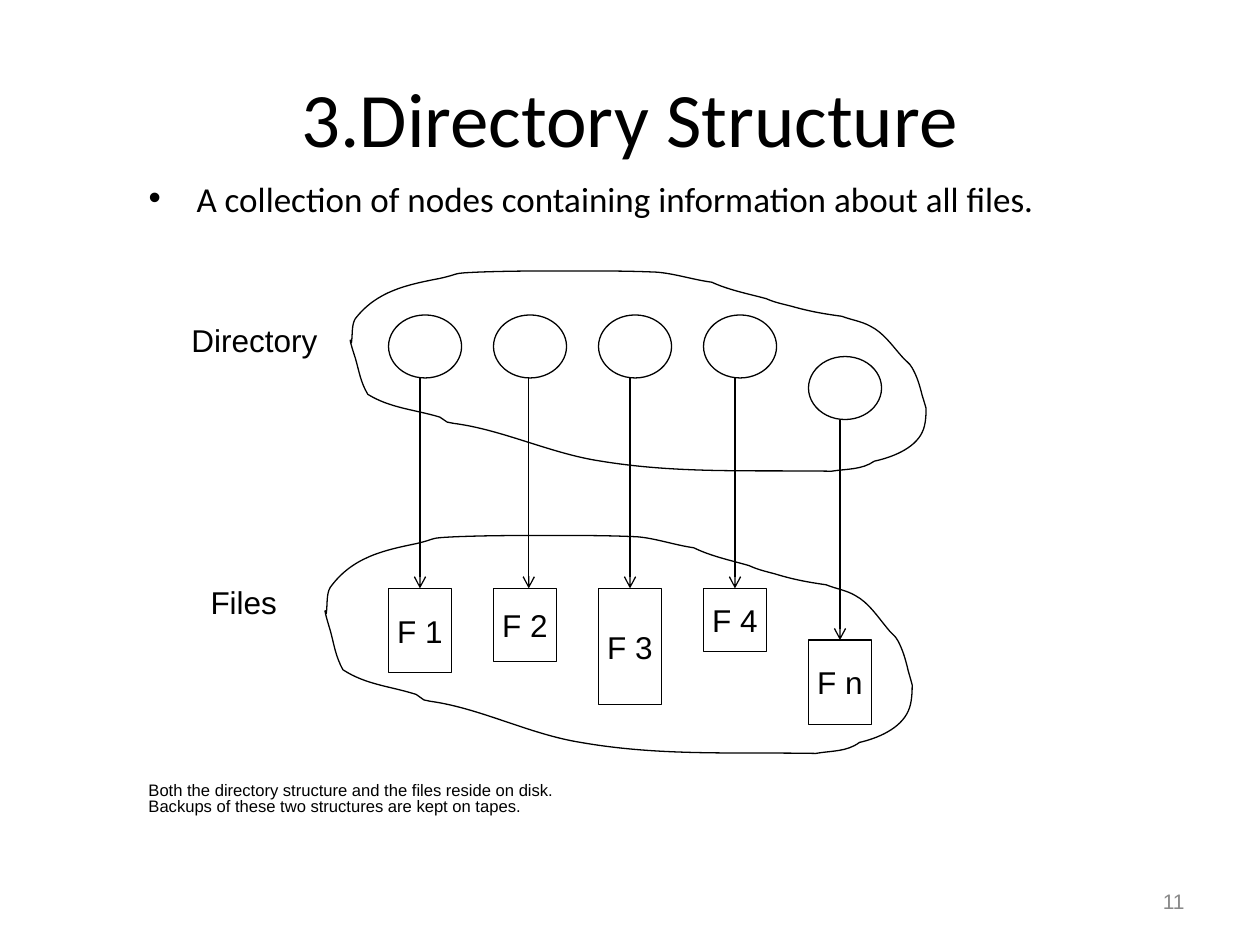
from pptx import Presentation
from pptx.dml.color import RGBColor
from pptx.enum import shapes, text
from pptx.oxml.ns import qn
from pptx.util import Inches, Pt
from lxml import etree

BLACK = RGBColor(0x00, 0x00, 0x00)
WHITE = RGBColor(0xFF, 0xFF, 0xFF)
GREY = RGBColor(0x89, 0x89, 0x89)

TITLE = "3.Directory Structure"
BULLET = "A collection of nodes containing information about all files."
FOOTNOTE = ["Both the directory structure and the files reside on disk.",
            "Backups of these two structures are kept on tapes."]
PAGE = "11"

# file name, node top, file top, file height, arrow offset from the column's left
FILES = [("F 1", 2.5, 4.67, 0.67, 0.25),
         ("F 2", 2.5, 4.67, 0.58, 0.28),
         ("F 3", 2.5, 4.67, 0.92, 0.25),
         ("F 4", 2.5, 4.67, 0.5, 0.25),
         ("F n", 2.83, 5.08, 0.67, 0.25)]
FIRST_LEFT, PITCH = 37 / 12, 10 / 12
NODE_W, NODE_H, FILE_W = 0.58, 0.5, 0.5

# label, label box, cloud box
GROUPS = [("Directory", (1.42, 2.5, 1.2, 0.4), (2.78, 2.15, 4.57, 1.59)),
          ("Files", (1.57, 4.58, 0.73, 0.4), (2.58, 4.25, 4.66, 1.73))]

# Cloud outline: start point, then Bezier segments (two controls and an end)
CLOUD_BOX = GROUPS[0][2]
CLOUD_START = (2.79, 2.72)
CLOUD_CURVES = [
    (2.8, 2.65, 2.79, 2.58, 2.82, 2.53), (2.99, 2.31, 3.23, 2.26, 3.49, 2.21),
    (3.67, 2.17, 3.57, 2.17, 3.79, 2.16), (4.04, 2.15, 4.29, 2.15, 4.55, 2.15),
    (4.77, 2.15, 4.99, 2.15, 5.21, 2.16), (5.35, 2.17, 5.5, 2.22, 5.65, 2.24),
    (5.78, 2.3, 5.93, 2.33, 6.08, 2.37), (6.15, 2.4, 6.2, 2.41, 6.28, 2.43),
    (6.42, 2.47, 6.53, 2.49, 6.68, 2.51), (6.76, 2.54, 6.84, 2.55, 6.91, 2.59),
    (7.01, 2.64, 7.08, 2.74, 7.15, 2.82), (7.18, 2.86, 7.22, 2.88, 7.24, 2.92),
    (7.28, 2.99, 7.3, 3.06, 7.32, 3.14), (7.33, 3.17, 7.35, 3.24, 7.35, 3.24),
    (7.35, 3.28, 7.35, 3.37, 7.32, 3.43), (7.26, 3.56, 7.08, 3.63, 6.94, 3.66),
    (6.84, 3.73, 6.72, 3.72, 6.6, 3.74), (5.96, 3.73, 5.38, 3.76, 4.77, 3.66),
    (4.37, 3.6, 3.99, 3.41, 3.6, 3.36), (3.58, 3.36, 3.57, 3.35, 3.55, 3.35),
    (3.53, 3.34, 3.51, 3.32, 3.49, 3.31), (3.29, 3.25, 3.1, 3.24, 2.92, 3.13),
    (2.86, 3.03, 2.85, 2.94, 2.82, 2.84), (2.82, 2.84, 2.78, 2.72, 2.78, 2.7),
    (2.78, 2.69, 2.79, 2.71, 2.79, 2.72)]


def inches(*values):
    return [Inches(v) for v in values]


def write(shape, lines, size, name="Arial", color=BLACK, align=text.PP_ALIGN.LEFT,
          anchor=text.MSO_ANCHOR.MIDDLE, wrap=True, spacing=None):
    tf = shape.text_frame
    tf.text = "\n".join(lines)
    tf.auto_size = text.MSO_AUTO_SIZE.NONE
    tf.word_wrap = wrap
    tf.vertical_anchor = anchor
    for p in tf.paragraphs:
        p.alignment = align
        p.space_before = Pt(0)
        p.line_spacing = spacing
        for r in p.runs:
            r.font.name = name
            r.font.size = Pt(size)
            r.font.color.rgb = color


def place(shape, box):
    shape.left, shape.top, shape.width, shape.height = inches(*box)


def outline(shape):
    shape.line.color.rgb = BLACK
    shape.line.width = Pt(0.75)


def add_white_shape(s, kind, box):
    sp = s.shapes.add_shape(kind, *inches(*box))
    sp.shadow.inherit = False
    sp.fill.solid()
    sp.fill.fore_color.rgb = WHITE
    outline(sp)
    return sp


def add_arrow(s, x, top, bottom):
    arrow = s.shapes.add_connector(shapes.MSO_CONNECTOR.STRAIGHT,
                                   *inches(x, top, x, bottom))
    outline(arrow)
    etree.SubElement(arrow.line._get_or_add_ln(), qn("a:tailEnd"), type="arrow")
    etree.SubElement(arrow._element.spPr, qn("a:effectLst"))
    return arrow


def add_cloud(s, box):
    """Build the outline through the curve ends, then bend each side."""
    left, top, width, height = box
    base_left, base_top, base_width, base_height = CLOUD_BOX

    def fit(x, y):
        return inches(left + (x - base_left) * width / base_width,
                      top + (y - base_top) * height / base_height)

    builder = s.shapes.build_freeform(*fit(*CLOUD_START))
    builder.add_line_segments([fit(*curve[4:]) for curve in CLOUD_CURVES], close=True)
    sp = builder.convert_to_shape()
    sides = list(sp._element.iter(qn("a:lnTo")))
    for side, curve in zip(sides, CLOUD_CURVES):
        bend = etree.Element(qn("a:cubicBezTo"))
        for i in (0, 2, 4):
            x, y = fit(*curve[i:i + 2])
            etree.SubElement(bend, qn("a:pt"), x=str(x - sp.left), y=str(y - sp.top))
        side.getparent().replace(side, bend)
    sp.shadow.inherit = False
    sp.fill.background()
    outline(sp)


def main():
    prs = Presentation()
    prs.slide_width, prs.slide_height = inches(10, 7.5)
    s = prs.slides.add_slide(prs.slide_layouts[1])
    center = text.PP_ALIGN.CENTER

    title, body = s.shapes.title, s.placeholders[1]
    place(title, (0.5, 0.3, 9, 1.25))
    write(title, [TITLE], 44, "Calibri", align=center)
    place(body, (1.08, 1.42, 7.69, 0.42))
    write(body, [BULLET], 20, "Calibri", anchor=text.MSO_ANCHOR.TOP, spacing=0.8)
    pPr = body.text_frame.paragraphs[0]._p.get_or_add_pPr()
    pPr.set("marL", str(Inches(0.38)))
    pPr.set("indent", str(Inches(-0.38)))

    for i, (name, node_top, file_top, file_height, offset) in enumerate(FILES):
        left = FIRST_LEFT + i * PITCH
        add_white_shape(s, shapes.MSO_SHAPE.OVAL, (left, node_top, NODE_W, NODE_H))
        file_box = add_white_shape(s, shapes.MSO_SHAPE.RECTANGLE,
                                   (left, file_top, FILE_W, file_height))
        write(file_box, [name], 18, align=center, wrap=False)
        arrow = add_arrow(s, left + offset, node_top + NODE_H, file_top)
        if offset == FILE_W / 2:
            arrow.end_connect(file_box, 0)

    for label, label_box, cloud_box in GROUPS:
        add_cloud(s, cloud_box)
        write(s.shapes.add_textbox(*inches(*label_box)), [label], 18,
              align=center, wrap=False)

    write(s.shapes.add_textbox(*inches(1.08, 6.17, 7.69, 0.42)), FOOTNOTE, 9.5,
          anchor=text.MSO_ANCHOR.TOP, spacing=0.8)
    write(s.shapes.add_textbox(*inches(7.17, 6.95, 2.33, 0.4)), [PAGE], 12,
          color=GREY, align=text.PP_ALIGN.RIGHT)
    prs.save("out.pptx")


if __name__ == "__main__":
    main()
